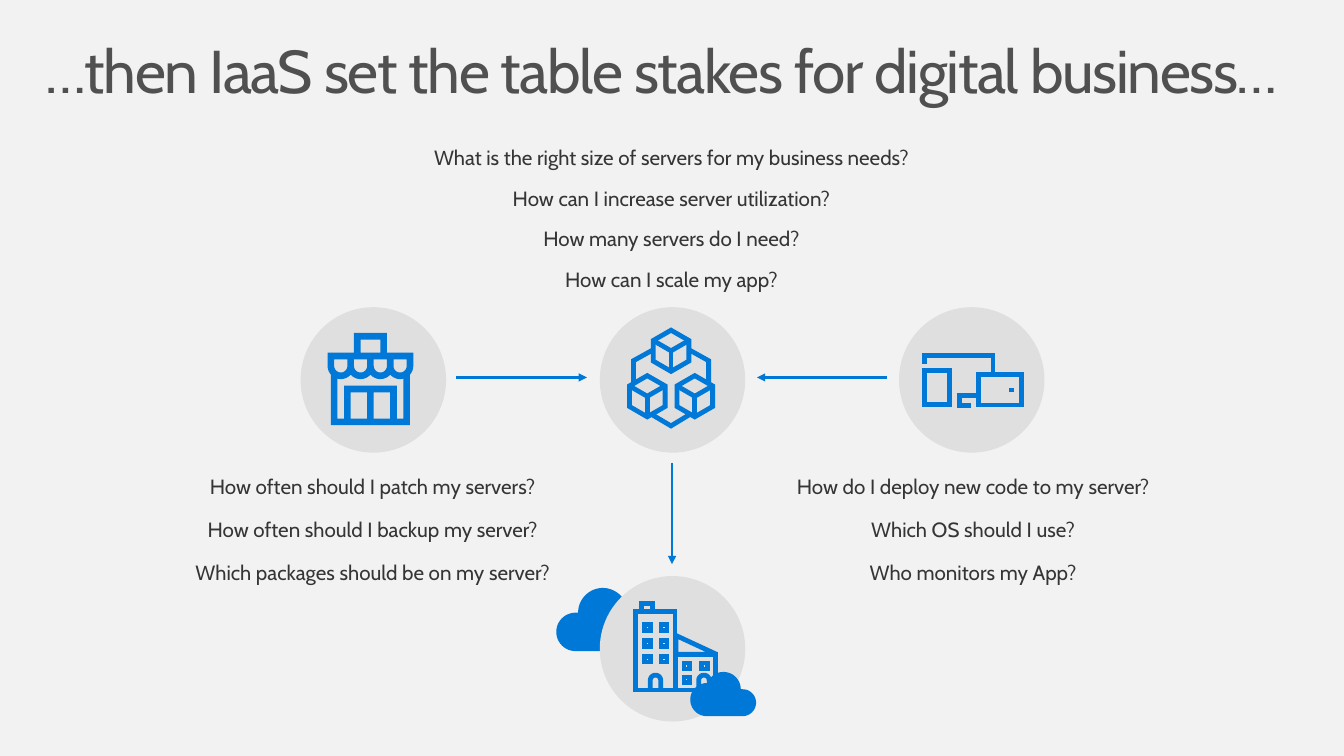
from math import acos, cos, degrees, radians, sin

from pptx import Presentation
from pptx.dml.color import RGBColor
from pptx.enum.shapes import MSO_CONNECTOR, MSO_SHAPE
from pptx.enum.text import MSO_ANCHOR, MSO_AUTO_SIZE, PP_ALIGN
from pptx.oxml.ns import qn
from pptx.util import Pt

STRAIGHT = MSO_CONNECTOR.STRAIGHT
RECT, OVAL, TRIANGLE = MSO_SHAPE.RECTANGLE, MSO_SHAPE.OVAL, MSO_SHAPE.ISOSCELES_TRIANGLE
TOP, CENTER, LEFT = MSO_ANCHOR.TOP, PP_ALIGN.CENTER, PP_ALIGN.LEFT

FONT = "Cabin"
BLUE, DISC, BACK, TITLE_INK, INK = "0078D7", "DFDFDF", "F2F2F2", "505050", "353535"

TITLE = "…then IaaS set the table stakes for digital business…"
# center x, first top, row step, box width, questions
QUESTIONS = [
    (489.2, 102.2, 29.5, 450, [
        "What is the right size of servers for my business needs?",
        "How can I increase server utilization?",
        "How many servers do I need?",
        "How can I scale my app?"]),
    (271.5, 342, 31.3, 315, [
        "How often should I patch my servers?",
        "How often should I backup my server?",
        "Which packages should be on my server?"]),
    (709, 342, 31.3, 390, [
        "How do I deploy new code to my server?",
        "Which OS should I use?",
        "Who monitors my App?"]),
]
ARROWS = [(332.6, 275, 427.7, 275), (646.6, 275, 551.5, 275), (489.6, 337, 489.6, 411.1)]

DISC_SIZE, ICON_LINE = 106, 3.5
SHOP, CUBES, DEVICES, OFFICE = (272, 276.8), (490, 276.8), (708, 276.8), (490, 472.7)


def color(value):
    return RGBColor.from_string(value)


def paint(sp, fill=None):
    """Fill without a line, or a blue icon outline when no fill is given."""
    sp.shadow.inherit = False
    if fill:
        sp.fill.solid()
        sp.fill.fore_color.rgb = color(fill)
        sp.line.fill.background()
    else:
        sp.fill.background()
        stroke(sp, ICON_LINE)


def stroke(sp, width):
    sp.line.width = Pt(width)
    sp.line.fill.solid()
    sp.line.fill.fore_color.rgb = color(BLUE)
    ln = sp.line.fill._xPr
    ln.append(ln.makeelement(qn("a:miter"), {"lim": "800000"}))
    return ln


def add_line(shapes, x1, y1, x2, y2, width=ICON_LINE, arrow=False):
    line = shapes.add_connector(STRAIGHT, Pt(x1), Pt(y1), Pt(x2), Pt(y2))
    ln = stroke(line, width)
    if arrow:
        ln.append(ln.makeelement(qn("a:tailEnd"), {"type": "triangle"}))
    spPr = line._element.spPr
    spPr.append(spPr.makeelement(qn("a:effectLst"), {}))


def add_shape(shapes, kind, x, y, w, h, fill=None):
    sp = shapes.add_shape(kind, Pt(x), Pt(y), Pt(w), Pt(h))
    paint(sp, fill)
    return sp


def add_outline(shapes, origin, contours, fill=None, close=True, scale=(1, 1)):
    """Freeform from contours in points, built on a grid of 1/100 point."""
    placed = [[(100 * (origin[0] + x * scale[0]), 100 * (origin[1] + y * scale[1]))
               for x, y in contour] for contour in contours]
    fb = shapes.build_freeform(*placed[0][0], scale=Pt(1) / 100)
    for i, contour in enumerate(placed):
        if i:
            fb.move_to(*contour[0])
        fb.add_line_segments(contour[1:], close=close)
    paint(fb.convert_to_shape(), fill)


def arc(cx, cy, r, start, end, steps=24):
    """Points on a circle; angles in degrees, clockwise from the right."""
    angles = [radians(start + (end - start) * i / steps) for i in range(steps + 1)]
    return [(cx + r * cos(a), cy + r * sin(a)) for a in angles]


def box(x1, y1, x2, y2):
    return [(x1, y1), (x2, y1), (x2, y2), (x1, y2)]


def icon_group(s, center):
    shapes = s.shapes.add_group_shape().shapes
    x, y = (c - DISC_SIZE / 2 for c in center)
    add_shape(shapes, OVAL, x, y, DISC_SIZE, DISC_SIZE, DISC)
    return shapes


def add_cloud(s, origin, scale):
    cloud = (arc(13.9, 32, 14, 90, 270) + arc(33.8, 18, 18, 180, 339)
             + arc(51.2, 28.8, 17.2, -90, 90))
    add_outline(s.shapes, origin, [cloud], BLUE, scale=scale)


def add_shop(s):
    shapes = icon_group(s, SHOP)
    unit, valley = 2.4, degrees(acos(3 / 4))
    outer = ([(1, 28), (25, 28)] + arc(22, 10, 4, valley, 0)
             + [(26, 6), (18, 6), (18, 0), (8, 0), (8, 6), (0, 6)]
             + arc(4, 10, 4, 180, 180 - valley))
    wall = [(23, 26), (21, 26), (21, 16), (5, 16), (5, 26), (3, 26)]
    for i in range(4):
        start = degrees(acos(-1 / 4)) if i == 0 else 180 - valley
        end = degrees(acos(1 / 4)) if i == 3 else valley
        wall += arc(4 + 6 * i, 10, 4, start, end)
    awning = [[(x, 8), (x + 4, 8)] + arc(x + 2, 10, 2, 0, 180) for x in range(2, 21, 6)]
    panes = [box(x, 18, x + 5, 26) for x in (7, 14)]
    add_outline(shapes, (SHOP[0] - 33.3, SHOP[1] - 34.2),
                [outer, wall, box(10, 2, 16, 6)] + awning + panes,
                BLUE, scale=(unit, unit))


def add_cubes(s):
    shapes = icon_group(s, CUBES)
    half, rise, height = 13, 7.5, 15
    for dx, dy in [(16.2, 11.9), (-18.4, 11.9), (-1.1, -21.2)]:
        x, y = CUBES[0] + dx, CUBES[1] + dy
        add_outline(shapes, (x, y), [[(-half, -rise), (0, -height), (half, -rise),
                                      (half, rise), (0, height), (-half, rise)]])
        add_outline(shapes, (x, y), [[(half, -rise), (0, 0), (-half, -rise)]], close=False)
        add_line(shapes, x, y, x, y + height)
    for link in [[(-15.5, 25), (-1.1, 33.5), (12.9, 25)],
                 [(11.9, -22), (26.3, -14), (26.3, 2.5)],
                 [(-28.4, 2.5), (-28.4, -14), (-14, -22)]]:
        add_outline(shapes, CUBES, [link], close=False)


def add_devices(s):
    shapes = icon_group(s, DEVICES)
    x, y = DEVICES
    add_shape(shapes, RECT, x - 34.2, y - 6.8, 18, 24.5)
    add_shape(shapes, RECT, x + 4.7, y - 4, 31.7, 22.3)
    add_line(shapes, x + 29.2, y + 9, x + 29.2, y + 6.1)
    for edge in [[(4.7, 11.2), (-9, 11.2), (-9, 18.4), (-0.4, 18.4)],
                 [(-34.2, -11.9), (-34.2, -17.6), (15.5, -17.6), (15.5, -4)]]:
        add_outline(shapes, DEVICES, [edge], close=False)


def add_office(s):
    shapes = icon_group(s, OFFICE)
    x, y = OFFICE
    tower, chimney, annex = (-27, -27, 28.8, 57), (-22.7, -32.8, 7.9, 5.8), (2.5, 4, 28.8, 26)
    windows = [(wx, -17.6 + 11.5 * row) for row in range(3) for wx in (-20.5, -8.3)]
    windows += [(8.3, 10.4), (21.2, 10.4), (8.3, 20.5)]
    for dx, dy, w, h in [tower, chimney, annex] + [(*p, 4.3, 4.3) for p in windows]:
        add_shape(shapes, RECT, x + dx, y + dy, w, h)
    for door in (-12.4, 22.9):
        arch = [(door + 3.8, 29.9)] + arc(door, 23, 3.8, 0, -180) + [(door - 3.8, 29.9)]
        add_outline(shapes, OFFICE, [arch], close=False)
    roof = add_shape(shapes, TRIANGLE, x + 2.5, y - 9.7, 29.5, 13.7)
    roof.adjustments[0] = 0


def format_text(tf, size, ink, align):
    p = tf.paragraphs[0]
    p.alignment = align
    r = p.runs[0]
    r.font.name, r.font.size = FONT, Pt(size)
    r.font.color.rgb = color(ink)
    return p, r


def add_title(s):
    title = s.shapes.title
    title.left, title.top, title.width, title.height = Pt(21.6), Pt(23), Pt(936), Pt(72)
    tf = title.text_frame
    tf.text = TITLE
    tf.auto_size, tf.vertical_anchor = MSO_AUTO_SIZE.NONE, TOP
    tf.margin_left = tf.margin_right = Pt(11.5)
    tf.margin_top = tf.margin_bottom = Pt(7.2)
    p, r = format_text(tf, 44, TITLE_INK, LEFT)
    p.line_spacing = 0.9
    r.font._element.set("spc", "-100")


def add_questions(s):
    for center, top, step, width, rows in QUESTIONS:
        for i, question in enumerate(rows):
            tf = s.shapes.add_textbox(Pt(center - width / 2), Pt(top + i * step),
                                      Pt(width), Pt(25.6)).text_frame
            tf.text = question
            tf.word_wrap = True
            format_text(tf, 15, INK, CENTER)


def main():
    prs = Presentation()
    prs.slide_width, prs.slide_height = Pt(979.2), Pt(550.8)
    s = prs.slides.add_slide(prs.slide_layouts[5])
    s.background.fill.solid()
    s.background.fill.fore_color.rgb = color(BACK)
    add_title(s)
    add_cloud(s, (405.4, 428.4), (1, 1))
    add_questions(s)
    for add_icon in (add_office, add_cubes, add_shop, add_devices):
        add_icon(s)
    for ends in ARROWS:
        add_line(s.shapes, *ends, width=2, arrow=True)
    add_cloud(s, (550.8, 489.6), (-0.7, 0.7))
    prs.save("out.pptx")


if __name__ == "__main__":
    main()
